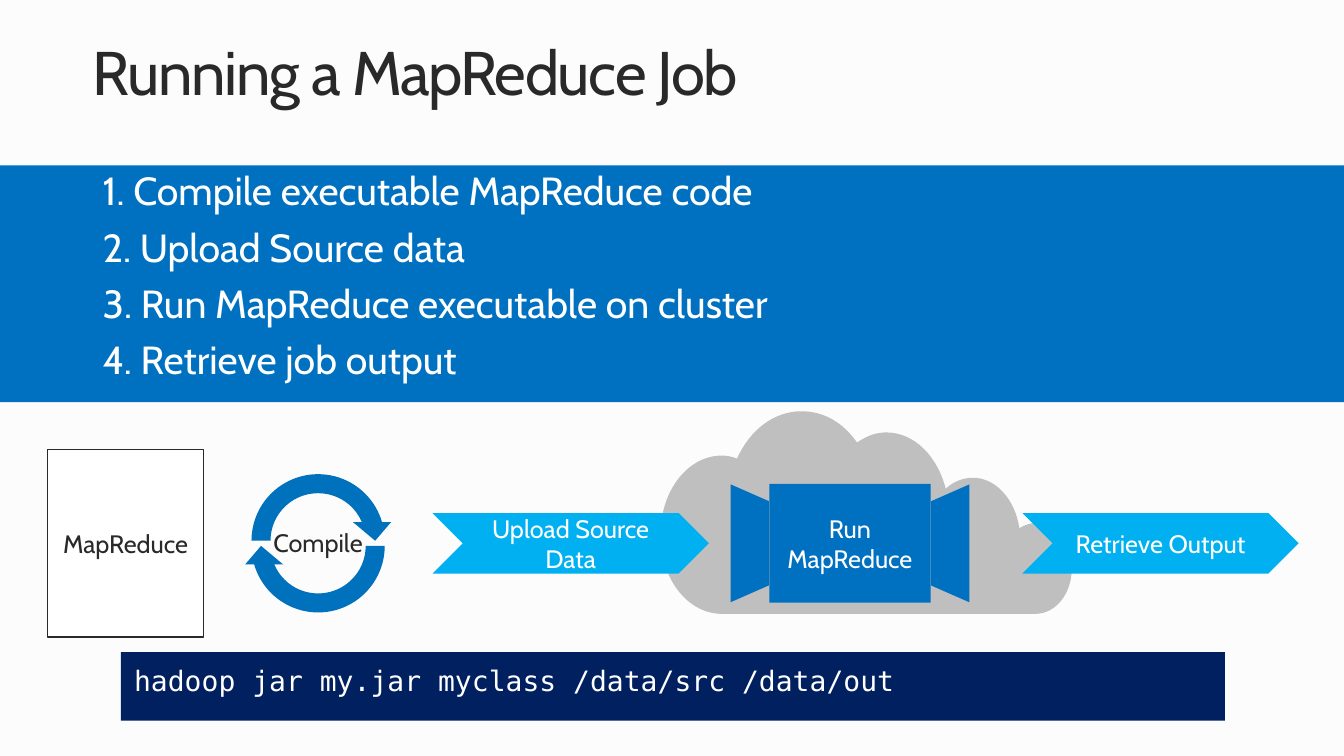
from lxml import etree
from pptx import Presentation
from pptx.dml.color import RGBColor
from pptx.enum.shapes import MSO_SHAPE
from pptx.enum.text import MSO_ANCHOR, PP_ALIGN
from pptx.oxml.ns import qn
from pptx.util import Inches, Pt

RECT = MSO_SHAPE.RECTANGLE
TRAP = MSO_SHAPE.TRAPEZOID
CHEVRON = MSO_SHAPE.CHEVRON
LOOP = MSO_SHAPE.CIRCULAR_ARROW
LEFT, CENTER = PP_ALIGN.LEFT, PP_ALIGN.CENTER
TOP, MIDDLE = MSO_ANCHOR.TOP, MSO_ANCHOR.MIDDLE

PAPER = RGBColor(0xFC, 0xFC, 0xFC)
WHITE = RGBColor(0xFF, 0xFF, 0xFF)
INK = RGBColor(0x29, 0x29, 0x29)
GRAY = RGBColor(0xBF, 0xBF, 0xBF)
BLUE = RGBColor(0x00, 0x70, 0xC0)
RING = RGBColor(0x00, 0x71, 0xBC)
SKY = RGBColor(0x00, 0xB0, 0xF0)
NAVY = RGBColor(0x00, 0x20, 0x60)

STEPS = [
    "1. Compile executable MapReduce code",
    "2. Upload Source data",
    "3. Run MapReduce executable on cluster",
    "4. Retrieve job output",
]

# Each row of the cloud: two control points and an end point.
START = (10.27, 5.19)
CURVES = [
    ((10.21, 5.19), (10.16, 5.21), (10.11, 5.24)),
    ((10.07, 4.96), (9.88, 4.74), (9.65, 4.74)),
    ((9.55, 4.74), (9.45, 4.78), (9.38, 4.85)),
    ((9.3, 4.53), (9.07, 4.29), (8.79, 4.29)),
    ((8.68, 4.29), (8.59, 4.33), (8.5, 4.39)),
    ((8.36, 4.19), (8.17, 4.08), (7.95, 4.08)),
    ((7.68, 4.08), (7.44, 4.26), (7.31, 4.55)),
    ((7.26, 4.53), (7.21, 4.52), (7.16, 4.52)),
    ((6.82, 4.52), (6.55, 4.87), (6.55, 5.31)),
    ((6.55, 5.74), (6.82, 6.09), (7.16, 6.09)),
    ((7.17, 6.09), (7.19, 6.09), (7.2, 6.09)),
    ((10.23, 6.09), (10.23, 6.09), (10.23, 6.09)),
    ((10.24, 6.09), (10.26, 6.09), (10.27, 6.09)),
    ((10.47, 6.09), (10.63, 5.89), (10.63, 5.64)),
    ((10.63, 5.39), (10.47, 5.19), START),
]


def bend(shape, curves):
    """Turn the straight sides of a freeform into cubic curves."""
    sides = list(shape.element.iter(qn("a:lnTo")))
    for side, curve in zip(sides, curves):
        cubic = etree.Element(qn("a:cubicBezTo"))
        for x, y in curve:
            etree.SubElement(cubic, qn("a:pt"), x=str(Inches(x) - shape.left),
                             y=str(Inches(y) - shape.top))
        side.getparent().replace(side, cubic)


def write(shape, text, size=18, font="Cabin", color=WHITE, align=CENTER,
          anchor=MIDDLE, wrap=True, inset=None, line=None, before=None, track=None):
    """Fill a shape with text, one paragraph per line of the string."""
    frame = shape.text_frame
    frame.word_wrap = wrap
    frame.vertical_anchor = anchor
    if inset is not None:
        frame.margin_left = Inches(inset)
        frame.margin_right = frame.margin_top = frame.margin_bottom = 0
    frame.text = text
    for para in frame.paragraphs:
        para.alignment = align
        para.line_spacing = line
        para.space_before = before
        for run in para.runs:
            run.font.size = Pt(size)
            run.font.name = font
            run.font.color.rgb = color
            if track is not None:
                run._r.get_or_add_rPr().set("spc", str(track))


class Deck:
    def __init__(self):
        self.file = Presentation()
        self.file.slide_width = Inches(13.33)
        self.file.slide_height = Inches(7.5)
        self.slide = self.file.slides.add_slide(self.file.slide_layouts[6])
        back = self.slide.background.fill
        back.solid()
        back.fore_color.rgb = PAPER

    def paint(self, shape, fill, edge=None):
        shape.shadow.inherit = False
        shape.fill.solid()
        shape.fill.fore_color.rgb = fill
        if edge is None:
            shape.line.fill.background()
        else:
            shape.line.color.rgb = edge
            shape.line.width = Pt(1)

    def shape(self, kind, box, fill, text=None, edge=None, turn=0, adj=None, **style):
        shape = self.slide.shapes.add_shape(kind, *map(Inches, box))
        self.paint(shape, fill, edge)
        shape.rotation = turn
        if adj is not None:
            shape.adjustments[0] = adj
        if text:
            write(shape, text, **style)

    def label(self, box, text, **style):
        write(self.slide.shapes.add_textbox(*map(Inches, box)), text, **style)

    def cloud(self):
        pen = self.slide.shapes.build_freeform(*map(Inches, START))
        ends = [tuple(map(Inches, curve[-1])) for curve in CURVES]
        pen.add_line_segments(ends, close=True)
        shape = pen.convert_to_shape()
        bend(shape, CURVES)
        self.paint(shape, GRAY)


def main():
    deck = Deck()
    deck.label((0.92, 0.42, 12.2, 0.68), "Running a MapReduce Job", size=44,
               color=INK, align=LEFT, anchor=TOP, inset=0, line=0.9, track=-100)

    deck.cloud()
    deck.shape(RECT, (7.63, 4.8, 1.6, 1.18), BLUE, "Run MapReduce")
    for left, turn in ((6.85, 90), (8.84, 270)):
        deck.shape(TRAP, (left, 5.2, 1.17, 0.38), BLUE, turn=turn, adj=0.44)
    for left, text in ((4.29, "Upload Source Data"), (10.14, "Retrieve Output")):
        deck.shape(CHEVRON, (left, 5.09, 2.74, 0.6), SKY, text)

    for top, turn in ((4.61, 0), (4.66, 180)):
        deck.shape(LOOP, (2.4, top, 1.51, 1.51), RING, turn=turn)
    deck.label((2.59, 5.18, 1.13, 0.4), "Compile", color=INK, anchor=TOP, wrap=False)
    deck.shape(RECT, (0.47, 4.46, 1.55, 1.86), WHITE, "MapReduce", edge=INK, color=INK)

    deck.shape(RECT, (1.2, 6.47, 10.95, 0.68), NAVY,
               "hadoop jar my.jar myclass /data/src /data/out", size=20,
               font="DejaVu Sans Mono", align=LEFT, inset=0.13, line=0.5, before=Pt(4))

    deck.shape(RECT, (0, 1.64, 13.33, 2.35), BLUE)
    deck.label((0.92, 1.58, 11.63, 2.35), "\n".join(STEPS), size=28,
               align=LEFT, line=0.9, before=Pt(10))
    deck.file.save("out.pptx")


if __name__ == "__main__":
    main()
